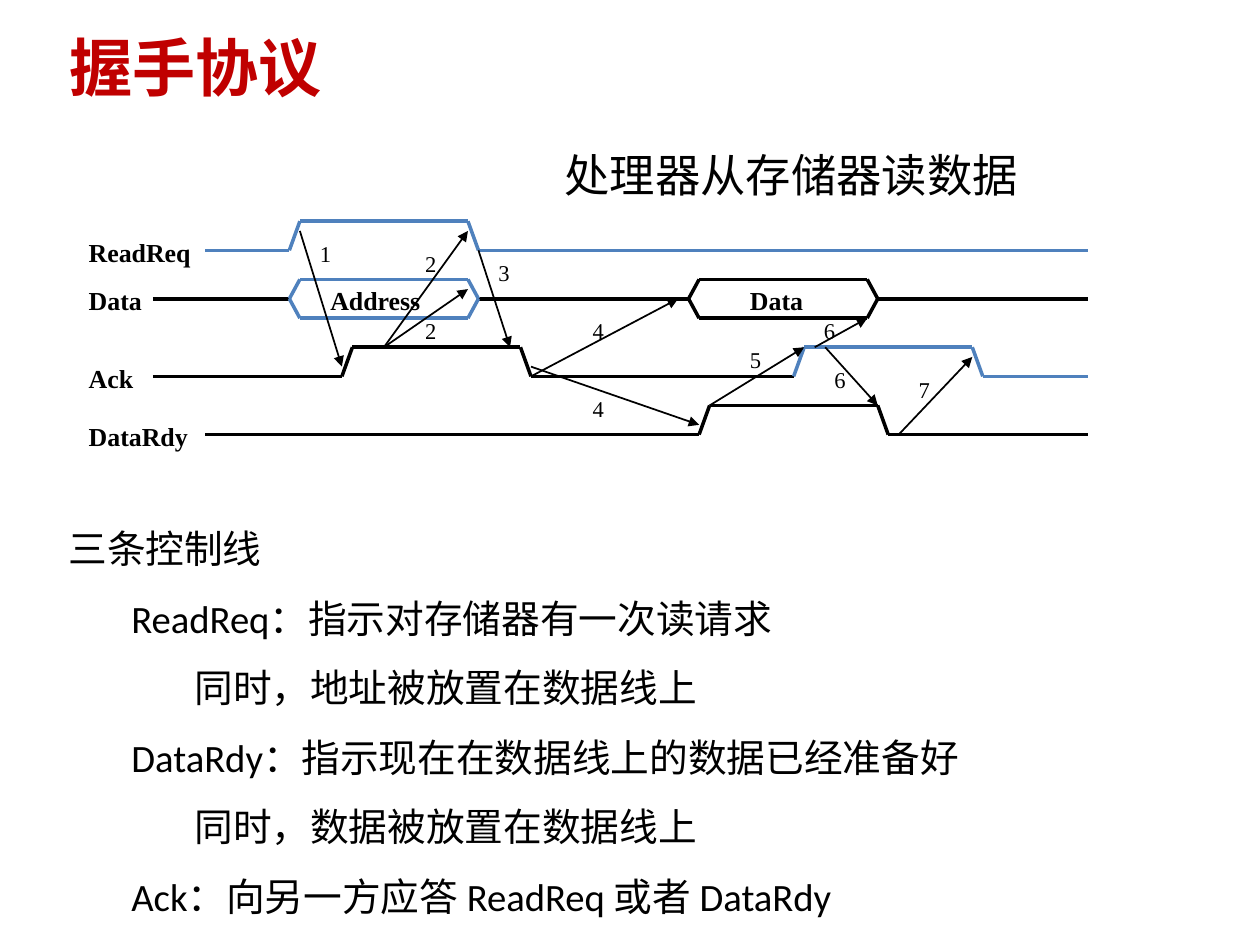
from itertools import pairwise

from lxml import etree
from pptx import Presentation
from pptx.dml.color import RGBColor
from pptx.enum.shapes import MSO_CONNECTOR
from pptx.enum.text import MSO_ANCHOR
from pptx.oxml.ns import qn
from pptx.util import Cm, Pt

STRAIGHT = MSO_CONNECTOR.STRAIGHT
MIDDLE, TOP = MSO_ANCHOR.MIDDLE, MSO_ANCHOR.TOP
COLORS = {"title": "C00000", "black": "000000", "blue": "4F81BD"}
CJK, BODY, SERIF = "Noto Sans CJK SC", "Calibri", "Times New Roman"

TITLE = "握手协议"
SUBTITLE = "处理器从存储器读数据"
EXPLANATION = [
    (0, "三条控制线"),
    (1, "ReadReq：指示对存储器有一次读请求"),
    (2, "同时，地址被放置在数据线上"),
    (1, "DataRdy：指示现在在数据线上的数据已经准备好"),
    (2, "同时，数据被放置在数据线上"),
    (1, "Ack：向另一方应答 ReadReq 或者 DataRdy"),
]

LEFT, RIGHT, COLUMNS = 3.08, 21.93, 89
UPPER, LOWER, ROWS = 4.46, 8.76, 22
DATA_ROW, BUS_HALF = 8, 2

SIGNAL_NAMES = [("ReadReq", 3, 2.54), ("Data", DATA_ROW, 1.55),
                ("Ack", 16, 1.37), ("DataRdy", 22, 2.49)]
WAVES = [
    ("blue", [(5, 3), (13, 3), (14, 0), (30, 0), (31, 3), (89, 3)]),
    ("black", [(0, 8), (13, 8)]),
    ("black", [(31, 8), (51, 8)]),
    ("black", [(69, 8), (89, 8)]),
    ("black", [(0, 16), (18, 16), (19, 13), (35, 13), (36, 16), (61, 16)]),
    ("blue", [(61, 16), (62, 13), (78, 13), (79, 16), (89, 16)]),
    ("black", [(5, 22), (52, 22), (53, 19), (69, 19), (70, 22), (89, 22)]),
]
BUSES = [("Address", "blue", 13, 31, 6.43, 2.29), ("Data", "black", 51, 69, 14.89, 1.55)]
HANDSHAKES = [
    ((14, 1), (18, 15)), ((22, 13), (30, 7)), ((22, 13), (30, 1)),
    ((31, 3), (34, 13)), ((36, 16), (50, 8)), ((36, 15), (52, 21)),
    ((53, 19), (62, 13)), ((63, 13), (68, 10)), ((64, 13), (69, 19)),
    ((71, 22), (78, 14)),
]
STEPS = [
    ("1", 6.22, 4.71), ("2", 8.34, 4.91), ("2", 8.34, 6.27), ("3", 9.82, 5.1),
    ("4", 11.72, 6.27), ("4", 11.72, 7.85), ("5", 14.89, 6.86),
    ("6", 16.38, 6.27), ("6", 16.59, 7.26), ("7", 18.29, 7.46),
]


def column_x(column):
    return LEFT + column * (RIGHT - LEFT) / COLUMNS


def row_y(row):
    return UPPER + row * (LOWER - UPPER) / ROWS


def add_line(slide, start, end, color, width, arrow=False):
    line = slide.shapes.add_connector(
        STRAIGHT, Cm(column_x(start[0])), Cm(row_y(start[1])),
        Cm(column_x(end[0])), Cm(row_y(end[1])))
    line.line.color.rgb = RGBColor.from_string(COLORS[color])
    line.line.width = Pt(width)
    properties = line._element.spPr
    if arrow:
        etree.SubElement(properties.find(qn("a:ln")), qn("a:tailEnd"), type="triangle")
    etree.SubElement(properties, qn("a:effectLst"))


def add_wave(slide, points, color):
    for start, end in pairwise(points):
        add_line(slide, start, end, color, 2)


def add_text(slide, box, paragraphs, size, font, color="black", bold=False,
             wrap=True, anchor=MIDDLE, insets=(0, 0), spacing=1):
    frame = slide.shapes.add_textbox(*map(Cm, box)).text_frame
    frame.word_wrap = wrap
    frame.vertical_anchor = anchor
    frame.margin_left = frame.margin_right = Cm(insets[0])
    frame.margin_top = frame.margin_bottom = Cm(insets[1])
    for index, (level, wording) in enumerate(paragraphs):
        paragraph = frame.add_paragraph() if index else frame.paragraphs[0]
        paragraph.line_spacing = spacing
        if level:
            paragraph.level = level
            paragraph._p.get_or_add_pPr().set("marL", str(Cm(1.27 * level)))
        run = paragraph.add_run()
        run.text = wording
        run.font.size = Pt(size)
        run.font.bold = bold
        run.font.name = font
        run.font.color.rgb = RGBColor.from_string(COLORS[color])
        latin = run.font._element.find(qn("a:latin"))
        latin.addnext(etree.Element(qn("a:ea"), typeface=CJK))


def add_label(slide, wording, x, y, width, height, size, bold):
    add_text(slide, (x, y, width, height), [(0, wording)], size, SERIF,
             bold=bold, wrap=False, insets=(0.23, 0.1))


def add_signal_label(slide, wording, x, row, width):
    add_label(slide, wording, x, row_y(row) - 0.4, width, 0.86, 14.8, True)


def main():
    deck = Presentation()
    deck.slide_width, deck.slide_height = Cm(25.4), Cm(19.05)
    slide = deck.slides.add_slide(deck.slide_layouts[6])

    add_text(slide, (1.4, 0.52, 8.13, 1.63), [(0, TITLE)], 36, CJK, "title", True)
    add_text(slide, (1.38, 10.11, 22.76, 8.38), EXPLANATION, 22.1, BODY,
             anchor=TOP, spacing=1.5)
    add_text(slide, (11.13, 2.84, 12.32, 1.37), [(0, SUBTITLE)], 25.9, SERIF,
             insets=(0.25, 0.13))

    for color, points in WAVES:
        add_wave(slide, points, color)
    for wording, color, start, end, x, width in BUSES:
        for row in (DATA_ROW - BUS_HALF, DATA_ROW + BUS_HALF):
            add_wave(slide, [(start, DATA_ROW), (start + 1, row),
                             (end - 1, row), (end, DATA_ROW)], color)
        add_signal_label(slide, wording, x, DATA_ROW, width)
    for start, end in HANDSHAKES:
        add_line(slide, start, end, "black", 1, arrow=True)
    for wording, row, width in SIGNAL_NAMES:
        add_signal_label(slide, wording, 1.56, row, width)
    for wording, x, y in STEPS:
        add_label(slide, wording, x, y, 0.71, 0.79, 12.9, False)

    deck.save("out.pptx")


if __name__ == "__main__":
    main()
